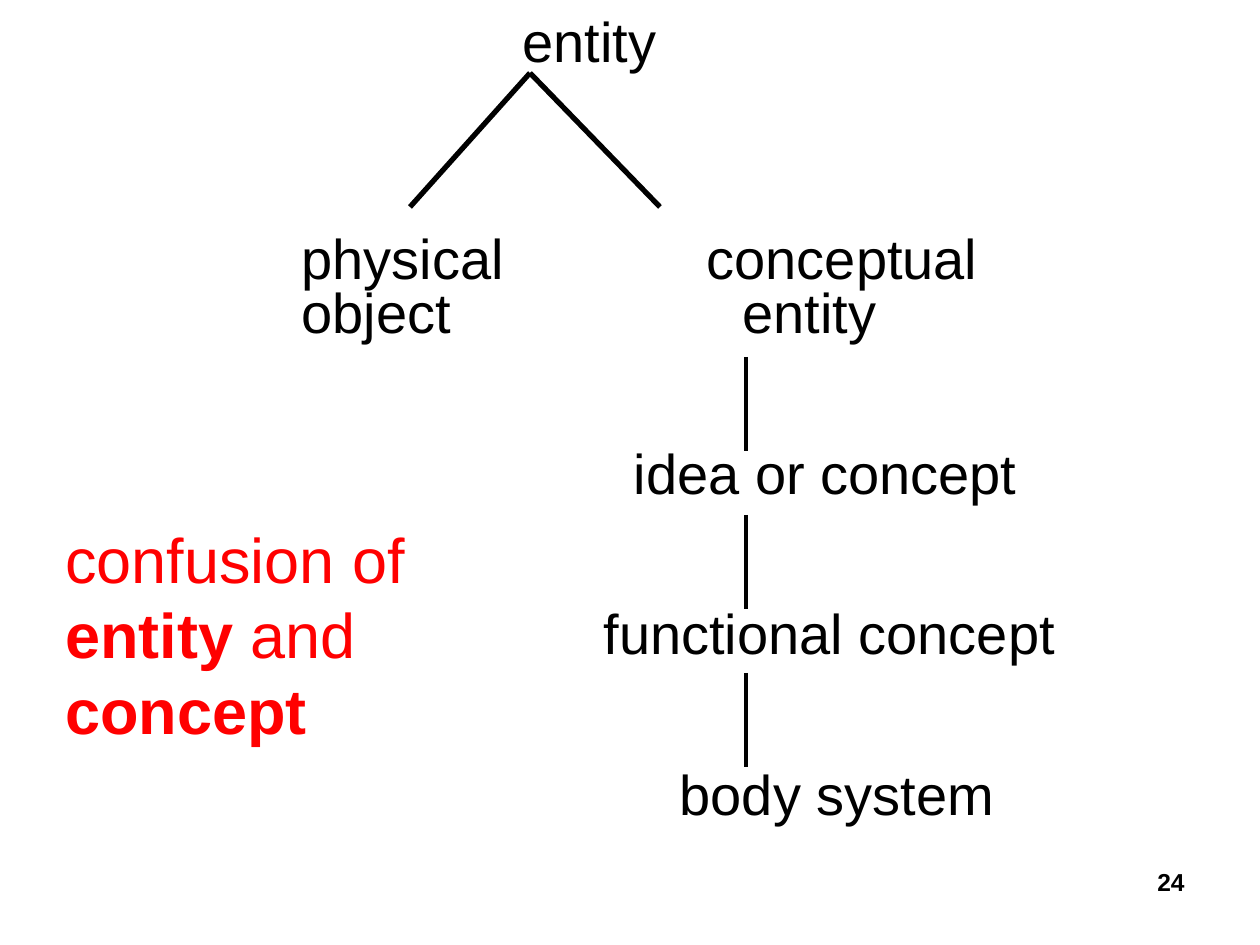
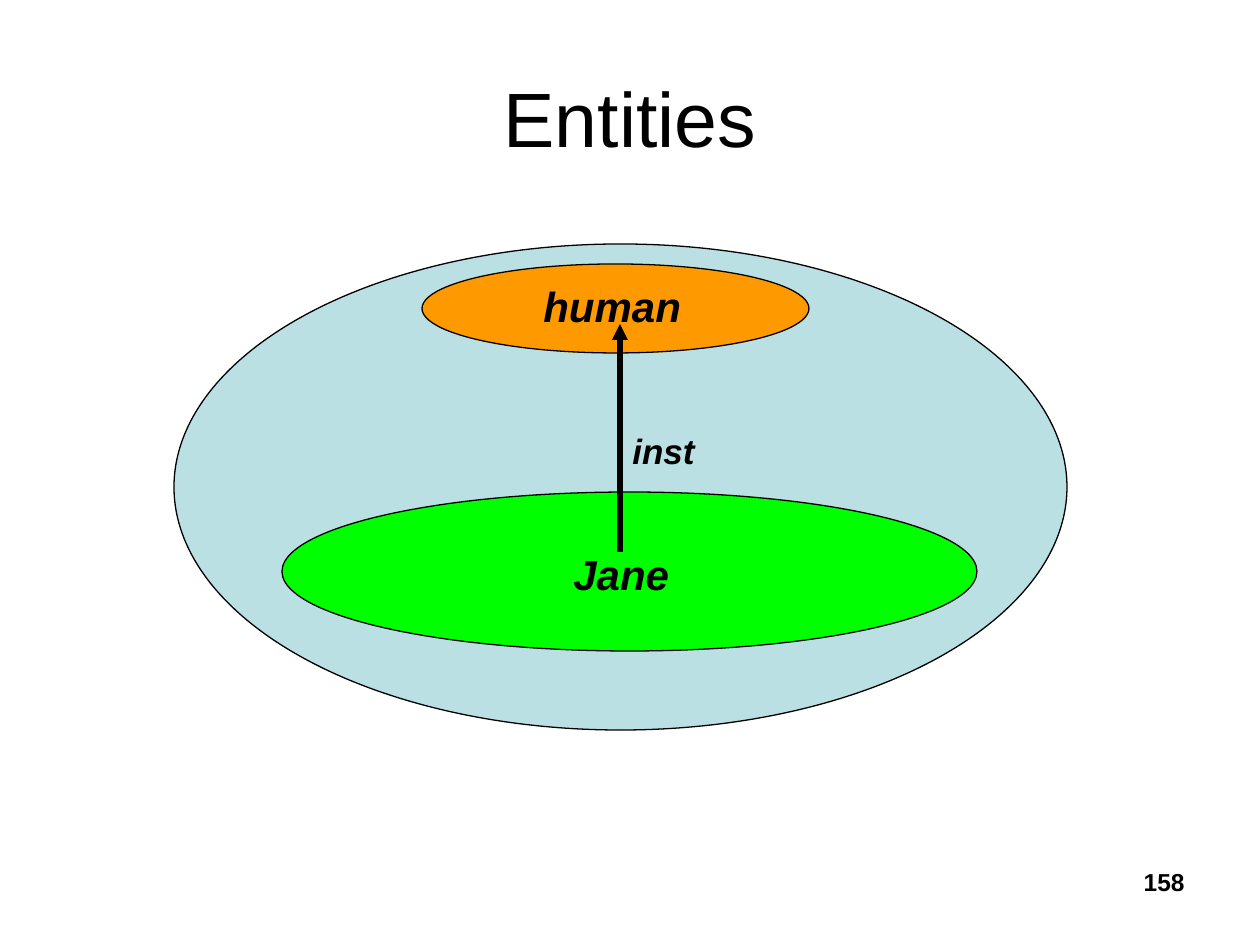
"""Builds two slides on entities: a concept tree and an instance diagram."""
from pptx import Presentation
from pptx.dml.color import RGBColor
from pptx.enum.shapes import MSO_CONNECTOR, MSO_SHAPE
from pptx.enum.text import MSO_ANCHOR, MSO_AUTO_SIZE, PP_ALIGN
from pptx.oxml.ns import qn
from pptx.util import Emu, Pt
from lxml.etree import SubElement

rgb = RGBColor.from_string
BLACK, RED, PALE, ORANGE, GREEN = "000000", "FF0000", "BBE0E3", "FF9900", "00FF00"
LEFT, CENTER, RIGHT = PP_ALIGN.LEFT, PP_ALIGN.CENTER, PP_ALIGN.RIGHT


def px(n):
    return Emu(round(n * 914400 / 126))


def add_run(p, text, size, color=BLACK, bold=False, italic=False):
    r = p.add_run()
    r.text = text
    r.font.name, r.font.size = "Arial", Pt(size)
    r.font.bold, r.font.italic = bold, italic
    r.font.color.rgb = rgb(color)


prs = Presentation()
prs.slide_width, prs.slide_height = px(1260), px(945)
tree = prs.slides.add_slide(prs.slide_layouts[1])
inst = prs.slides.add_slide(prs.slide_layouts[5])

title = tree.shapes.title
title.element.getparent().remove(title.element)
body = tree.placeholders[1]
body.left, body.top, body.width, body.height = px(73), px(0), px(1113), px(843)
tf = body.text_frame
tf.auto_size = MSO_AUTO_SIZE.NONE
tree_lines = [
    ("entity", 437, 0, 1.0),
    ("conceptual", 621, 163, 0.8),
    ("entity", 657, 0, 0.8),
    ("idea or concept", 548, 107, 0.8),
    ("functional concept", 518, 107, 0.8),
    ("body system", 594, 107, 0.8),
]
for i, (text, indent, before, spacing) in enumerate(tree_lines):
    p = tf.add_paragraph() if i else tf.paragraphs[0]
    pPr = p._p.get_or_add_pPr()
    pPr.set("marL", str(px(indent)))
    pPr.set("indent", "0")
    SubElement(pPr, qn("a:buNone"))
    p.line_spacing, p.space_before = spacing, px(before)
    add_run(p, text, 32)

title = inst.shapes.title
title.left, title.top, title.width, title.height = px(63), px(38), px(1134), px(157)
title.text_frame.vertical_anchor = MSO_ANCHOR.MIDDLE
p = title.text_frame.paragraphs[0]
p.alignment = CENTER
add_run(p, "Entities", 44)

ellipses = [
    (174, 244, 893, 486, PALE),
    (422, 264, 387, 89, ORANGE),
    (282, 492, 695, 159, GREEN),
]
for x, y, w, h, fill in ellipses:
    sp = inst.shapes.add_shape(MSO_SHAPE.OVAL, px(x), px(y), px(w), px(h))
    sp.shadow.inherit = False
    sp.fill.solid()
    sp.fill.fore_color.rgb = rgb(fill)
    sp.line.color.rgb = rgb(BLACK)
    sp.line.width = Pt(0.75)

physical = [[("physical", False)], [("object", False)]]
confusion = [[("confusion of", False)], [("entity ", True), ("and", False)], [("concept", True)]]
text_boxes = [
    (tree, 289, 217, 260, 133, LEFT, 32, BLACK, False, 0.8, physical),
    (tree, 53, 514, 382, 239, LEFT, 36, RED, False, 1.0, confusion),
    (inst, 531, 274, 179, 63, LEFT, 24, BLACK, True, 1.0, [[("human", True)]]),
    (inst, 561, 542, 139, 63, LEFT, 24, BLACK, True, 1.0, [[("Jane", True)]]),
    (inst, 620, 423, 100, 55, LEFT, 20, BLACK, True, 1.0, [[("inst", True)]]),
    (tree, 903, 861, 294, 66, RIGHT, 14, BLACK, False, 1.0, [[("24", True)]]),
    (inst, 903, 861, 294, 66, RIGHT, 14, BLACK, False, 1.0, [[("158", True)]]),
]
for s, x, y, w, h, align, size, color, italic, spacing, paragraphs in text_boxes:
    tf = s.shapes.add_textbox(px(x), px(y), px(w), px(h)).text_frame
    tf.word_wrap = True
    for i, runs in enumerate(paragraphs):
        p = tf.add_paragraph() if i else tf.paragraphs[0]
        p.alignment = align
        p.line_spacing = spacing if i else 1.0
        for text, bold in runs:
            add_run(p, text, size, color, bold, italic)

lines = [
    (tree, 530, 73, 660, 207, 3, False),
    (tree, 530, 73, 410, 207, 3, False),
    (inst, 620, 552, 620, 324, 3, True),
]
lines += [(tree, 746, y, 746, y + 94, 2.75, False) for y in range(357, 674, 158)]
for s, x1, y1, x2, y2, width, arrow in lines:
    sp = s.shapes.add_connector(MSO_CONNECTOR.STRAIGHT, px(x1), px(y1), px(x2), px(y2))
    sp.line.color.rgb = rgb(BLACK)
    sp.line.width = Pt(width)
    if arrow:
        SubElement(sp.line._get_or_add_ln(), qn("a:tailEnd"), type="triangle")
    SubElement(sp._element.spPr, qn("a:effectLst"))

prs.save("out.pptx")
